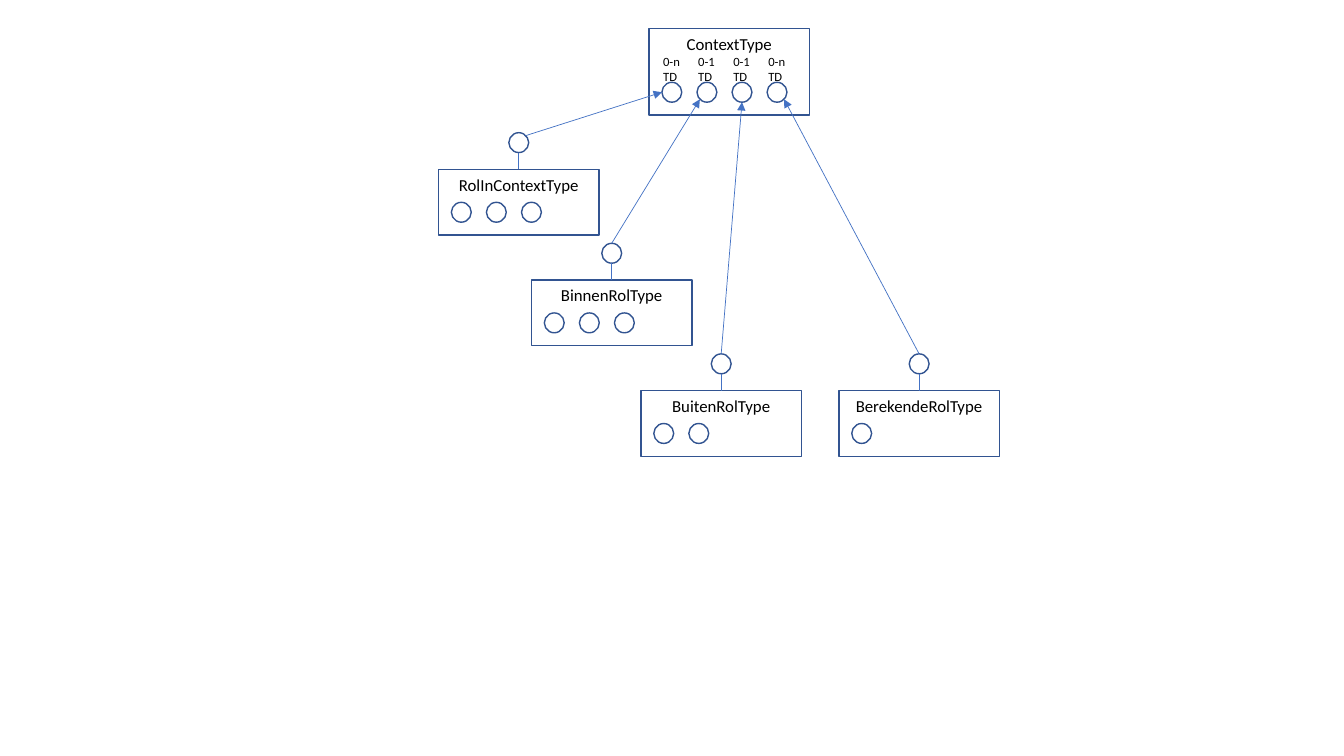
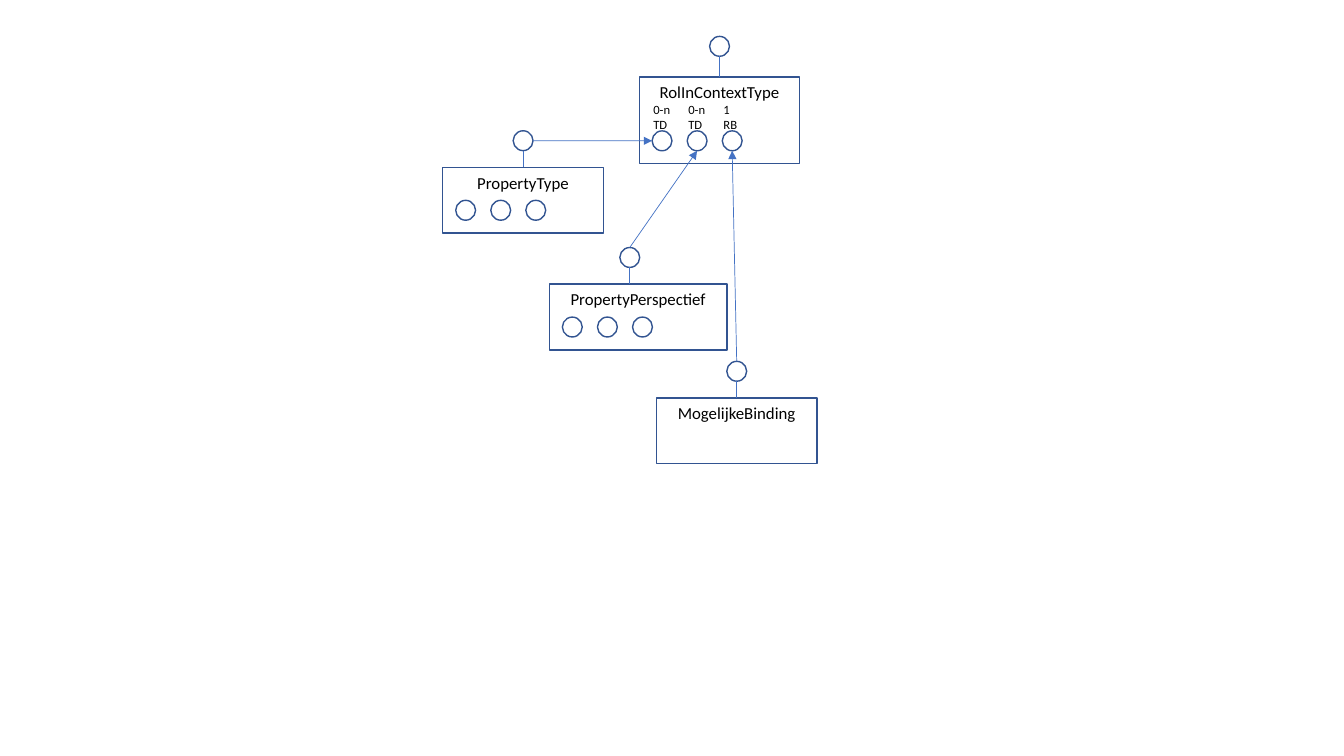
"""Build two diagrams of context and role types with their sockets and pins."""
import math
from dataclasses import dataclass

from lxml import etree
from pptx import Presentation
from pptx.dml.color import RGBColor
from pptx.enum.shapes import MSO_CONNECTOR, MSO_SHAPE
from pptx.enum.text import MSO_ANCHOR, MSO_AUTO_SIZE, PP_ALIGN
from pptx.oxml.ns import qn
from pptx.shapes.autoshape import Shape
from pptx.slide import Slide
from pptx.text.text import TextFrame
from pptx.util import Pt

RECTANGLE, OVAL = MSO_SHAPE.RECTANGLE, MSO_SHAPE.OVAL
STRAIGHT = MSO_CONNECTOR.STRAIGHT
TOP_ANCHOR = MSO_ANCHOR.TOP
CENTER, LEFT_ALIGN = PP_ALIGN.CENTER, PP_ALIGN.LEFT
FIT_SHAPE = MSO_AUTO_SIZE.SHAPE_TO_FIT_TEXT

Point = tuple[float, float]

DIAGONAL = math.sqrt(0.5)
TOP: Point = (0, -1)
RIGHT: Point = (1, 0)
BOTTOM: Point = (0, 1)
LEFT: Point = (-1, 0)
TOP_RIGHT: Point = (DIAGONAL, -DIAGONAL)
BOTTOM_LEFT: Point = (-DIAGONAL, DIAGONAL)
BOTTOM_RIGHT: Point = (DIAGONAL, DIAGONAL)


@dataclass(frozen=True)
class Theme:
    """Colours, font and line weights of the deck."""
    font: str = "Calibri"
    title_size: float = 12
    label_size: float = 9
    text: RGBColor = RGBColor(0x00, 0x00, 0x00)
    outline: RGBColor = RGBColor(0x32, 0x54, 0x91)
    link: RGBColor = RGBColor(0x44, 0x72, 0xC4)
    outline_width: float = 1
    link_width: float = 0.5


@dataclass(frozen=True)
class Grid:
    """Shared lengths in points."""
    slide_width: float = 960
    slide_height: float = 540
    box_width: float = 114.7
    circle: float = 14.2
    pitch: float = 25.05
    socket_inset: float = 9.2
    socket_bottom: float = 9.3
    label_shift: float = -6.2
    label_top: float = 14.4
    label_height: float = 29


THEME = Theme()
GRID = Grid()


@dataclass(frozen=True)
class Label:
    """A cardinality and a code above a socket."""
    text: str
    width: float = 26.6


@dataclass(frozen=True)
class TypeBox:
    """A titled box with a row of sockets and an optional pin on top."""
    title: str
    left: float
    top: float
    sockets: int
    width: float = GRID.box_width
    height: float = 47
    pin_rise: float = 26.2
    labels: tuple[Label, ...] = ()

    def socket(self, index: int) -> Point:
        """Return the centre of a socket."""
        radius = GRID.circle / 2
        return (self.left + GRID.socket_inset + radius + index * GRID.pitch,
                self.top + self.height - GRID.socket_bottom - radius)

    def pin(self) -> Point:
        """Return the centre of the pin."""
        return (self.left + GRID.box_width / 2,
                self.top - self.pin_rise + GRID.circle / 2)


@dataclass(frozen=True)
class Child:
    """A box whose pin points at the next socket of the root."""
    box: TypeBox
    start: Point
    end: Point


@dataclass(frozen=True)
class Diagram:
    """A root box and the boxes that fill its sockets."""
    root: TypeBox
    children: tuple[Child, ...]


MANY = Label("0-n\nTD")
OPTIONAL = Label("0-1\nTD")
BINDING = Label("1\nRB", 24.5)

DIAGRAMS = (
    Diagram(
        TypeBox("ContextType", 463.6, 20.3, 4, height=62, pin_rise=0,
                labels=(MANY, OPTIONAL, OPTIONAL, MANY)),
        (
            Child(TypeBox("RolInContextType", 313.2, 121, 3), TOP_RIGHT, LEFT),
            Child(TypeBox("BinnenRolType", 379.6, 200, 3), TOP, BOTTOM_LEFT),
            Child(TypeBox("BuitenRolType", 457.8, 279, 2), TOP, BOTTOM),
            Child(TypeBox("BerekendeRolType", 599.2, 279, 1), TOP, BOTTOM_RIGHT),
        ),
    ),
    Diagram(
        TypeBox("RolInContextType", 456.6, 55, 3, height=62, pin_rise=29,
                labels=(MANY, MANY, BINDING)),
        (
            Child(TypeBox("PropertyType", 316.3, 119.6, 3), RIGHT, LEFT),
            Child(TypeBox("PropertyPerspectief", 392.5, 203, 3, width=126.7),
                  TOP, BOTTOM),
            Child(TypeBox("MogelijkeBinding", 468.9, 284.3, 0), TOP, BOTTOM),
        ),
    ),
)


def rim(center: Point, direction: Point) -> Point:
    """Return the point on a circle's edge in a direction."""
    radius = GRID.circle / 2
    return center[0] + radius * direction[0], center[1] + radius * direction[1]


def write(frame: TextFrame, text: str, size: float, align: PP_ALIGN) -> None:
    """Fill a text frame and format its runs."""
    frame.text = text
    frame.vertical_anchor = TOP_ANCHOR
    for para in frame.paragraphs:
        para.alignment = align
        for span in para.runs:
            span.font.name = THEME.font
            span.font.size = Pt(size)
            span.font.color.rgb = THEME.text


def draw_outline(page: Slide, kind: MSO_SHAPE, left: float, top: float,
                 width: float, height: float) -> Shape:
    """Draw an unfilled shape with the shared outline."""
    shape = page.shapes.add_shape(kind, Pt(left), Pt(top), Pt(width), Pt(height))
    shape.shadow.inherit = False
    shape.fill.background()
    shape.line.color.rgb = THEME.outline
    shape.line.width = Pt(THEME.outline_width)
    return shape


def draw_circle(page: Slide, center: Point) -> None:
    """Draw a socket or pin around its centre."""
    radius = GRID.circle / 2
    draw_outline(page, OVAL, center[0] - radius, center[1] - radius,
                 GRID.circle, GRID.circle)


def draw_link(page: Slide, start: Point, end: Point, arrow: bool = False) -> None:
    """Draw a thin line, with an arrowhead at its end if asked."""
    link = page.shapes.add_connector(STRAIGHT, Pt(start[0]), Pt(start[1]),
                                     Pt(end[0]), Pt(end[1]))
    link.line.color.rgb = THEME.link
    link.line.width = Pt(THEME.link_width)
    if arrow:
        etree.SubElement(link.line._get_or_add_ln(), qn("a:tailEnd"), type="triangle")
    etree.SubElement(link._element.spPr, qn("a:effectLst"))


def draw_label(page: Slide, label: Label, left: float, top: float) -> None:
    """Draw the small label of a socket."""
    box = page.shapes.add_textbox(Pt(left), Pt(top), Pt(label.width),
                                  Pt(GRID.label_height))
    write(box.text_frame, label.text, THEME.label_size, LEFT_ALIGN)
    box.text_frame.word_wrap = False
    box.text_frame.auto_size = FIT_SHAPE


def draw_box(page: Slide, box: TypeBox) -> None:
    """Draw a type box with its sockets, labels and pin."""
    shape = draw_outline(page, RECTANGLE, box.left, box.top, box.width, box.height)
    write(shape.text_frame, box.title, THEME.title_size, CENTER)
    for index in range(box.sockets):
        draw_circle(page, box.socket(index))
    for index, label in enumerate(box.labels):
        socket_left = rim(box.socket(index), LEFT)[0]
        draw_label(page, label, socket_left + GRID.label_shift,
                   box.top + GRID.label_top)
    if box.pin_rise:
        pin = box.pin()
        draw_circle(page, pin)
        draw_link(page, (pin[0], box.top), rim(pin, BOTTOM))


def draw_diagram(page: Slide, diagram: Diagram) -> None:
    """Draw the root, its children and the arrows between them."""
    draw_box(page, diagram.root)
    for index, child in enumerate(diagram.children):
        draw_box(page, child.box)
        draw_link(page, rim(child.box.pin(), child.start),
                  rim(diagram.root.socket(index), child.end), arrow=True)


def main() -> None:
    """Build and save the deck."""
    deck = Presentation()
    deck.slide_width = Pt(GRID.slide_width)
    deck.slide_height = Pt(GRID.slide_height)
    for diagram in DIAGRAMS:
        draw_diagram(deck.slides.add_slide(deck.slide_layouts[6]), diagram)
    deck.save("out.pptx")


main()
